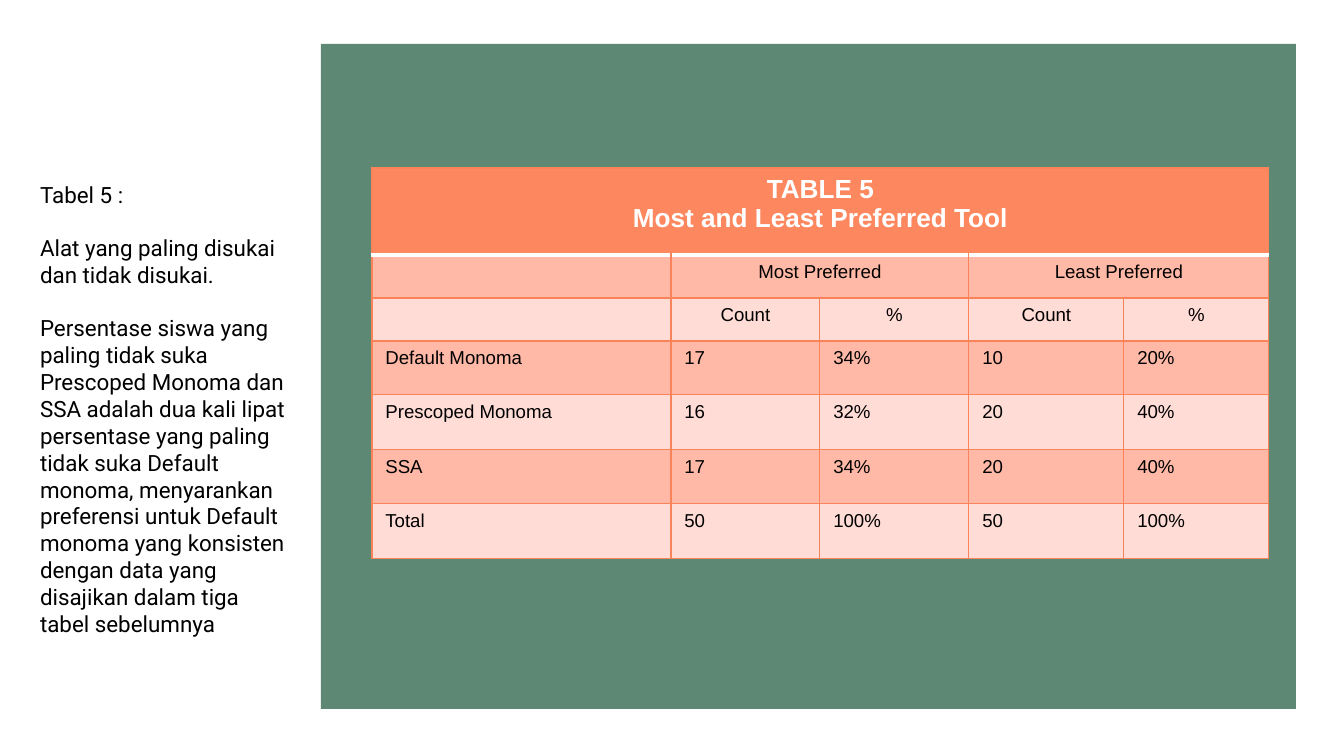
from lxml.etree import SubElement
from pptx import Presentation
from pptx.dml.color import RGBColor
from pptx.enum.shapes import MSO_SHAPE
from pptx.enum.text import MSO_ANCHOR, MSO_AUTO_SIZE, PP_ALIGN
from pptx.oxml.ns import qn
from pptx.util import Emu, Pt

WHITE = RGBColor(0xFF, 0xFF, 0xFF)
BLACK = RGBColor(0, 0, 0)
GREEN = RGBColor(0x47, 0x78, 0x61)
CORAL = RGBColor(0xFD, 0x88, 0x60)
CORAL_EDGE = RGBColor(0xFB, 0x83, 0x5A)
DARK_BAND = RGBColor(0xFF, 0xB9, 0xA6)
LIGHT_BAND = RGBColor(0xFF, 0xDC, 0xD5)

EXPLANATION = [
    "Tabel 5 :",
    "Alat yang paling disukai dan tidak disukai.",
    "Persentase siswa yang paling tidak suka Prescoped Monoma dan SSA adalah "
    "dua kali lipat persentase yang paling tidak suka Default monoma, "
    "menyarankan preferensi untuk Default monoma yang konsisten dengan data "
    "yang disajikan dalam tiga tabel sebelumnya",
]
COLUMN_WIDTHS = [299, 149, 149, 155, 145]
ROW_HEIGHTS = [87, 43, 43, 54, 55, 54, 55]
PREFERENCES = [
    ["TABLE 5\nMost and Least Preferred Tool", "", "", "", ""],
    ["", "Most Preferred", "", "Least Preferred", ""],
    ["", "Count", "%", "Count", "%"],
    ["Default Monoma", "17", "34%", "10", "20%"],
    ["Prescoped Monoma", "16", "32%", "20", "40%"],
    ["SSA", "17", "34%", "20", "40%"],
    ["Total", "50", "100%", "50", "100%"],
]
MERGES = [(0, 0, 4), (1, 1, 2), (1, 3, 4)]


def px(pixels):
    """Convert picture pixels to EMU."""
    return Emu(round(pixels * 914400 / 134.4))


def style_paragraph(paragraph, typeface, size, color, bold=False, align=PP_ALIGN.LEFT):
    """Set the font and alignment of a paragraph."""
    paragraph.alignment = align
    font = paragraph.font
    font.name, font.size, font.bold = typeface, Pt(size), bold
    font.color.rgb = color


def add_panel(slide):
    """Add the translucent green panel behind the table."""
    panel = slide.shapes.add_shape(
        MSO_SHAPE.RECTANGLE, px(321), px(44), px(975), px(665))
    panel.shadow.inherit = False
    panel.fill.solid()
    panel.fill.fore_color.rgb = GREEN
    panel.line.fill.background()
    tint = panel.fill._xPr.find(qn("a:solidFill"))[0]
    SubElement(tint, qn("a:alpha"), val="88000")


def place_explanation(slide):
    """Fill the title placeholder with the explanation."""
    title = slide.shapes.title
    title.left, title.top, title.width, title.height = px(27), px(54), px(275), px(623)
    frame = title.text_frame
    frame.word_wrap = True
    frame.auto_size = MSO_AUTO_SIZE.NONE
    frame.vertical_anchor = MSO_ANCHOR.BOTTOM
    frame.margin_left = frame.margin_right = frame.margin_top = px(13)
    frame.margin_bottom = px(40)
    frame.text = "\n".join(EXPLANATION)
    for index, paragraph in enumerate(frame.paragraphs):
        style_paragraph(paragraph, "Roboto", 12, BLACK)
        paragraph.space_before = Pt(14 if index else 0)


def set_border(cell, side, color, width):
    """Draw one border of a cell."""
    line = SubElement(cell._tc.get_or_add_tcPr(), qn(f"a:ln{side}"), w=str(Pt(width)))
    fill = SubElement(line, qn("a:solidFill"))
    SubElement(fill, qn("a:srgbClr"), val=str(color))


def format_cell(cell, row, column, text):
    """Write and style one table cell by its row."""
    heading = row == 0
    for side in "LRTB":
        under_heading = (row, side) in ((0, "B"), (1, "T"))
        color, width = (WHITE, 2) if under_heading else (CORAL_EDGE, 0.75)
        set_border(cell, side, color, width)
    cell.fill.solid()
    cell.fill.fore_color.rgb = CORAL if heading else DARK_BAND if row % 2 else LIGHT_BAND
    if not text:
        cell.margin_top = cell.margin_bottom = 0
    else:
        cell.text = text
    for paragraph in cell.text_frame.paragraphs:
        style_paragraph(
            paragraph, "Arial", 14 if heading else 10, WHITE if heading else BLACK,
            heading, PP_ALIGN.CENTER if row < 3 else PP_ALIGN.LEFT)


def add_preference_table(slide):
    """Add the table of preferred tools."""
    table = slide.shapes.add_table(
        len(ROW_HEIGHTS), len(COLUMN_WIDTHS), px(372), px(168),
        px(sum(COLUMN_WIDTHS)), px(sum(ROW_HEIGHTS))).table
    for column, width in zip(table.columns, COLUMN_WIDTHS):
        column.width = px(width)
    for row, height in zip(table.rows, ROW_HEIGHTS):
        row.height = px(height)
    for row, texts in enumerate(PREFERENCES):
        for column, text in enumerate(texts):
            format_cell(table.cell(row, column), row, column, text)
    for row, first, last in MERGES:
        table.cell(row, first).merge(table.cell(row, last))


def main():
    """Build and save the slide."""
    deck = Presentation()
    deck.slide_width, deck.slide_height = px(1344), px(756)
    slide = deck.slides.add_slide(deck.slide_layouts[5])
    add_panel(slide)
    place_explanation(slide)
    add_preference_table(slide)
    deck.save("out.pptx")


main()
